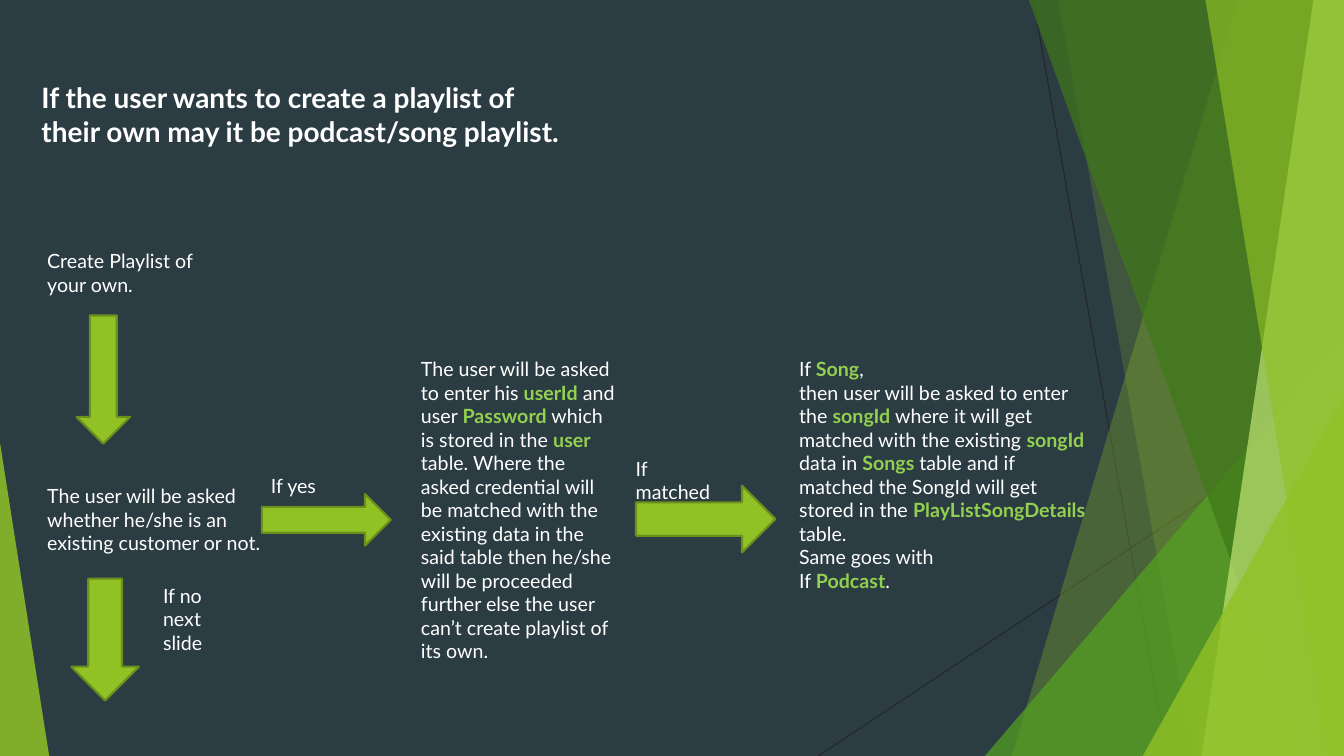
from lxml import etree
from pptx import Presentation
from pptx.dml.color import RGBColor
from pptx.enum.shapes import MSO_CONNECTOR, MSO_SHAPE
from pptx.enum.text import MSO_ANCHOR, MSO_AUTO_SIZE, PP_ALIGN
from pptx.oxml.ns import qn
from pptx.util import Cm, Pt

SLATE = RGBColor(0x2C, 0x3C, 0x43)
INK = RGBColor(0x26, 0x26, 0x26)
WHITE = RGBColor(0xFF, 0xFF, 0xFF)
HIGHLIGHT = RGBColor(0x92, 0xD0, 0x50)
LIME = RGBColor(0x90, 0xC2, 0x26)
OLIVE = RGBColor(0x6B, 0x90, 0x1C)
GREEN = RGBColor(0x54, 0xA0, 0x21)
FOREST = RGBColor(0x3F, 0x78, 0x19)
PALE_LIME = RGBColor(0xC0, 0xE4, 0x74)

FONT = "Lato"
WIDTH, HEIGHT = 33.87, 19.05

TITLE = "If the user wants to create a playlist of their own may it be podcast/song playlist."
CREDENTIALS = (
    "The user will be asked to enter his *userId* and user *Password* which is stored in the "
    "*user *table. Where the asked credential will be matched with the existing data in the said "
    "table then he/she will be proceeded further else the user can’t create playlist of its own."
)
SONG_CHECK = (
    "If *Song*,\n"
    "then user will be asked to enter the *songId *where it will get matched with the existing "
    "*songId* data in *Songs *table and if matched the SongId will get stored in the "
    "*PlayListSongDetails* table.\n"
    "Same goes with\n"
    "If *Podcast*."
)


def paint(shape, color, opacity):
    shape.shadow.inherit = False
    shape.line.fill.background()
    shape.fill.solid()
    shape.fill.fore_color.rgb = color
    color_element = shape.fill._xPr.find(qn("a:solidFill"))[0]
    etree.SubElement(color_element, qn("a:alpha"), val=str(opacity * 1000))


def add_thin_line(slide, start, end):
    connector = slide.shapes.add_connector(
        MSO_CONNECTOR.STRAIGHT, *[Cm(value) for value in start + end])
    connector.line.color.rgb = INK
    connector.line.width = Pt(0.75)
    etree.SubElement(connector._element.spPr, qn("a:effectLst"))


def add_band(slide, top_x, bottom_x, color, opacity):
    corners = [(WIDTH, 0), (WIDTH, HEIGHT), (bottom_x, HEIGHT)]
    builder = slide.shapes.build_freeform(Cm(top_x), Cm(0), scale=1.0)
    builder.add_line_segments([(Cm(x), Cm(y)) for x, y in corners], close=True)
    paint(builder.convert_to_shape(), color, opacity)


def add_corner(slide, left, top, width, apex, color, opacity):
    triangle = slide.shapes.add_shape(
        MSO_SHAPE.ISOSCELES_TRIANGLE, Cm(left), Cm(top), Cm(width), Cm(HEIGHT - top))
    triangle.adjustments[0] = apex
    paint(triangle, color, opacity)


def add_backdrop(slide):
    slide.background.fill.solid()
    slide.background.fill.fore_color.rgb = SLATE
    add_thin_line(slide, (26.04, 0), (29.41, HEIGHT))
    add_thin_line(slide, (WIDTH, 10.24), (20.62, HEIGHT))
    add_band(slide, 31.19, 25.5, LIME, 30)
    add_band(slide, 26.67, 30.05, LIME, 20)
    add_corner(slide, 24.82, 8.46, WIDTH - 24.82, 1, GREEN, 72)
    add_band(slide, 25.93, 32.79, FOREST, 70)
    add_band(slide, 33.1, 30.28, PALE_LIME, 70)
    add_band(slide, 30.38, 33.48, LIME, 65)
    add_corner(slide, 28.8, 9.98, WIDTH - 28.8, 1, LIME, 80)
    add_corner(slide, 0, 11.15, 1.24, 0, LIME, 85)


def add_title(slide, left, top, width, height):
    title = slide.shapes.title
    title.left, title.top, title.width, title.height = Cm(left), Cm(top), Cm(width), Cm(height)
    frame = title.text_frame
    frame.text = TITLE
    frame.auto_size = MSO_AUTO_SIZE.NONE
    frame.vertical_anchor = MSO_ANCHOR.TOP
    paragraph = frame.paragraphs[0]
    paragraph.alignment = PP_ALIGN.LEFT
    paragraph.font.name = FONT
    paragraph.font.size = Pt(20)
    paragraph.font.bold = True
    paragraph.font.color.rgb = WHITE


def add_text(slide, text, left, top, width, height):
    frame = slide.shapes.add_textbox(Cm(left), Cm(top), Cm(width), Cm(height)).text_frame
    frame.word_wrap = True
    for index, line in enumerate(text.split("\n")):
        paragraph = frame.add_paragraph() if index else frame.paragraphs[0]
        paragraph.font.name = FONT
        paragraph.font.size = Pt(14)
        paragraph.font.color.rgb = WHITE
        for position, part in enumerate(line.split("*")):
            run = paragraph.add_run()
            run.text = part
            if position % 2:
                run.font.bold = True
                run.font.color.rgb = HIGHLIGHT


def add_arrow(slide, kind, left, top, width, height):
    arrow = slide.shapes.add_shape(kind, Cm(left), Cm(top), Cm(width), Cm(height))
    arrow.shadow.inherit = False
    arrow.fill.solid()
    arrow.fill.fore_color.rgb = LIME
    arrow.line.color.rgb = OLIVE
    arrow.line.width = Pt(1.5)


def add_flow(slide, left, top):
    down, right = MSO_SHAPE.DOWN_ARROW, MSO_SHAPE.RIGHT_ARROW
    add_text(slide, "Create Playlist of your own.", left, top, 4.22, 1.45)
    add_arrow(slide, down, left + 0.99, top + 1.8, 1.35, 3.23)
    add_text(slide, "The user will be asked whether he/she is an existing customer or not.",
             left, top + 5.92, 5.94, 2.06)
    add_arrow(slide, right, left + 5.66, top + 6.3, 3.25, 1.3)
    add_text(slide, "If yes", left + 5.64, top + 5.66, 2.49, 0.86)
    add_text(slide, CREDENTIALS, left + 9.42, top + 2.72, 5.38, 9.25)
    add_arrow(slide, right, left + 15.09, top + 6.09, 3.51, 1.68)
    add_text(slide, "If matched", left + 14.83, top + 5.23, 2.74, 0.86)
    add_text(slide, SONG_CHECK, left + 18.95, top + 2.72, 7.8, 6.25)
    add_arrow(slide, down, left + 0.86, top + 8.43, 1.7, 3.07)
    add_text(slide, "If no next slide", left + 2.92, top + 8.43, 2.06, 2.06)


def main():
    presentation = Presentation()
    presentation.slide_width, presentation.slide_height = Cm(WIDTH), Cm(HEIGHT)
    slide = presentation.slides.add_slide(presentation.slide_layouts[5])
    add_backdrop(slide)
    add_title(slide, 0.79, 1.9, 14, 2.82)
    add_flow(slide, 0.94, 6.15)
    presentation.save("out.pptx")


if __name__ == "__main__":
    main()
